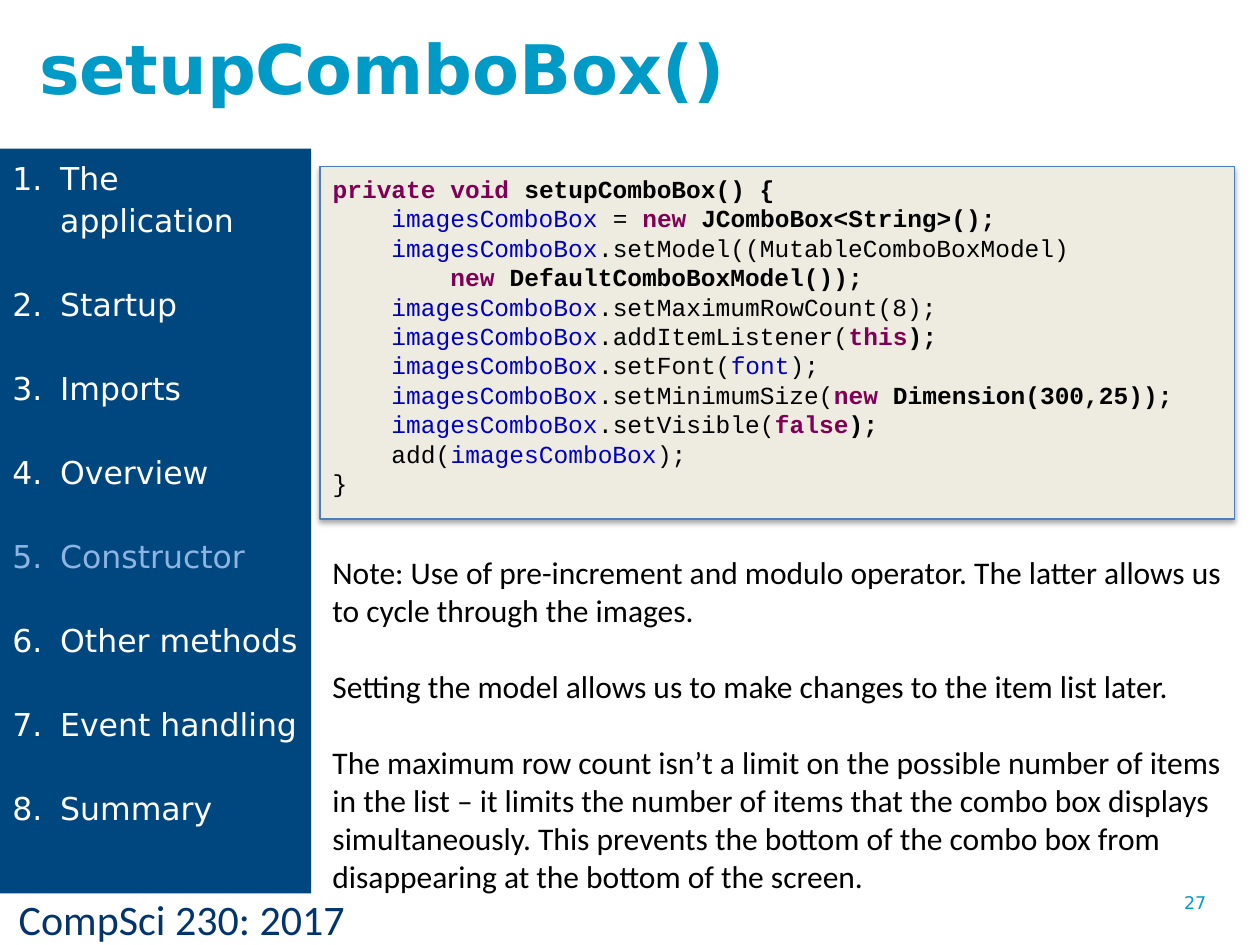
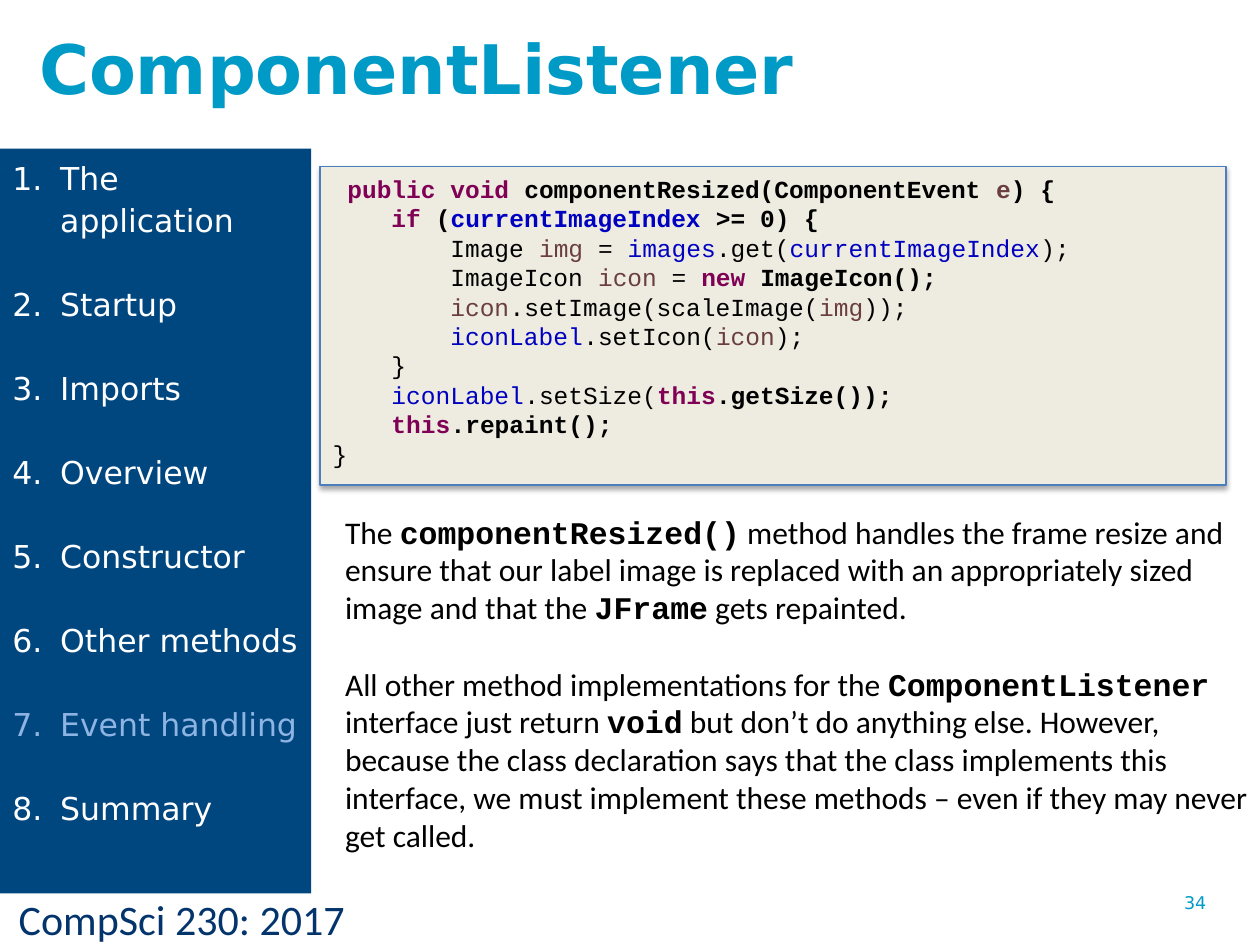
import pptx
import pptx.util
import pptx.dml.color
import pptx.enum.shapes
import pptx.enum.text
from lxml import etree
from pptx.oxml.ns import qn

Inches = pptx.util.Inches
Pt = pptx.util.Pt

COLORS = {
    "title": "009AC7", "footer": "04346C", "sidebar": "00467F",
    "white": "FFFFFF", "current": "8EB4E3", "panel": "EEECE1",
    "border": "4B7EBC", "black": "000000", "keyword": "7F0055",
    "field": "0000C0", "local": "6A3E3E",
}
BODY_FONT, CODE_FONT, HEADING_FONT = "Calibri", "Courier New", "DejaVu Sans"
CODE_STYLES = {
    "plain": ("black", False), "bold": ("black", True),
    "keyword": ("keyword", True), "field": ("field", False),
    "boldfield": ("field", True), "local": ("local", False),
    "boldlocal": ("local", True),
}
FOOTER = "CompSci 230: 2017"
SECTIONS = ["The application", "Startup", "Imports", "Overview", "Constructor",
            "Other methods", "Event handling", "Summary"]
COMBO = ("field", "    imagesComboBox")

SLIDES = [
    {
        "title": "setupComboBox()", "number": "27", "section": "Constructor",
        "panel": (2.54, 1.32, 7.26, 2.8), "code_box": (2.54, 1.33, 7.26, 2.7),
        "notes_box": (2.54, 4.34, 7.38, 2.83),
        "code": [
            [("keyword", "private void "), ("bold", "setupComboBox() {")],
            [COMBO, ("plain", " = "), ("keyword", "new "), ("bold", "JComboBox<String>();")],
            [COMBO, ("plain", ".setModel((MutableComboBoxModel)")],
            [("keyword", "        new "), ("bold", "DefaultComboBoxModel());")],
            [COMBO, ("plain", ".setMaximumRowCount(8);")],
            [COMBO, ("plain", ".addItemListener("), ("keyword", "this"), ("bold", ");")],
            [COMBO, ("plain", ".setFont("), ("field", "font"), ("plain", ");")],
            [COMBO, ("plain", ".setMinimumSize("), ("keyword", "new "),
             ("bold", "Dimension(300,25));")],
            [COMBO, ("plain", ".setVisible("), ("keyword", "false"), ("bold", ");")],
            [("plain", "    add("), ("field", "imagesComboBox"), ("plain", ");")],
            [("plain", "}")],
        ],
        "notes": [
            [("text", "Note: Use of pre-increment and modulo operator. The latter allows us "
                      "to cycle through the images.")],
            [("text", "Setting the model allows us to make changes to the item list later.")],
            [("text", "The maximum row count isn’t a limit on the possible number of items in "
                      "the list – it limits the number of items that the combo box displays "
                      "simultaneously. This prevents the bottom of the combo box from "
                      "disappearing at the bottom of the screen.")],
        ],
    },
    {
        "title": "ComponentListener", "number": "34", "section": "Event handling",
        "panel": (2.54, 1.32, 7.19, 2.53), "code_box": (2.54, 1.33, 7.56, 3.4),
        "notes_box": (2.64, 4.02, 7.38, 2.83),
        "code": [
            [("keyword", " public void "), ("bold", "componentResized(ComponentEvent "),
             ("boldlocal", "e"), ("bold", ") {")],
            [("keyword", "    if"), ("bold", " ("), ("boldfield", "currentImageIndex"),
             ("bold", " >= 0) {")],
            [("plain", "        Image "), ("local", "img"), ("plain", " = "),
             ("field", "images"), ("plain", ".get("), ("field", "currentImageIndex"),
             ("plain", ");")],
            [("plain", "        ImageIcon "), ("local", "icon"), ("plain", " = "),
             ("keyword", "new "), ("bold", "ImageIcon();")],
            [("local", "        icon"), ("plain", ".setImage(scaleImage("),
             ("local", "img"), ("plain", "));")],
            [("field", "        iconLabel"), ("plain", ".setIcon("), ("local", "icon"),
             ("plain", ");")],
            [("plain", "    }")],
            [("field", "    iconLabel"), ("plain", ".setSize("), ("keyword", "this"),
             ("bold", ".getSize());")],
            [("keyword", "    this"), ("bold", ".repaint();")],
            [("plain", "}")],
        ],
        "notes": [
            [("text", "The "), ("code", "componentResized()"),
             ("text", " method handles the frame resize and ensure that our label image is "
                      "replaced with an appropriately sized image and that the "),
             ("code", "JFrame"), ("text", " gets repainted.")],
            [("text", "All other method implementations for the "),
             ("code", "ComponentListener"), ("text", " interface just return "),
             ("code", "void"),
             ("text", " but don’t do anything else. However, because the class declaration "
                      "says that the class implements this interface, we must implement these "
                      "methods – even if they may never get called.")],
        ],
    },
]


def rgb(color):
    return pptx.dml.color.RGBColor.from_string(COLORS[color])


def place(shape, box):
    shape.left, shape.top, shape.width, shape.height = map(Inches, box)


def prepare_frame(shape, anchor=pptx.enum.text.MSO_ANCHOR.TOP):
    frame = shape.text_frame
    frame.word_wrap = True
    frame.auto_size = pptx.enum.text.MSO_AUTO_SIZE.NONE
    frame.vertical_anchor = anchor
    return frame


def next_paragraph(frame, index, gap=0, line_spacing=None):
    paragraph = frame.add_paragraph() if index else frame.paragraphs[0]
    paragraph.alignment = pptx.enum.text.PP_ALIGN.LEFT
    paragraph.space_before = Pt(gap if index else 0)
    if line_spacing:
        paragraph.line_spacing = Pt(line_spacing)
    return paragraph


def set_bullet(paragraph, tag, indent=0, **attributes):
    properties = paragraph._p.get_or_add_pPr()
    properties.set("marL", str(Inches(indent)))
    properties.set("indent", str(-Inches(indent)))
    etree.SubElement(properties, qn(tag), attributes)


def add_run(paragraph, text, size, font, color, bold=False):
    run = paragraph.add_run()
    run.text = text
    run.font.size = Pt(size)
    run.font.name = font
    run.font.bold = bold
    run.font.color.rgb = rgb(color)


def add_label(slide, box, text, size, font, color):
    label = slide.shapes.add_textbox(*map(Inches, box))
    add_run(next_paragraph(prepare_frame(label), 0), text, size, font, color)


def add_rectangle(slide, box, fill):
    rectangle = slide.shapes.add_shape(
        pptx.enum.shapes.MSO_SHAPE.RECTANGLE, *map(Inches, box))
    rectangle.fill.solid()
    rectangle.fill.fore_color.rgb = rgb(fill)
    rectangle.line.fill.background()
    rectangle.shadow.inherit = False
    return rectangle


def add_title(slide, text):
    title = slide.shapes.title
    place(title, (0.21, 0.14, 7.13, 0.78))
    frame = prepare_frame(title, pptx.enum.text.MSO_ANCHOR.MIDDLE)
    add_run(next_paragraph(frame, 0), text, 39, HEADING_FONT, "title", True)


def add_code_panel(slide, box):
    panel = add_rectangle(slide, box, "panel")
    panel.line.color.rgb = rgb("border")
    panel.line.width = Pt(0.75)
    effects = panel._element.spPr.find(qn("a:effectLst"))
    shadow = etree.SubElement(effects, qn("a:outerShdw"), {
        "blurRad": str(Pt(3.1)), "dist": str(Pt(1.8)), "dir": "5400000", "rotWithShape": "0"})
    shade = etree.SubElement(shadow, qn("a:srgbClr"), val=COLORS["black"])
    etree.SubElement(shade, qn("a:alpha"), val="35000")
    slide.shapes._spTree.insert(2, panel._element)


def add_code(slide, box, lines):
    body = slide.placeholders[1]
    place(body, box)
    frame = prepare_frame(body)
    for index, line in enumerate(lines):
        paragraph = next_paragraph(frame, index, line_spacing=16.8)
        set_bullet(paragraph, "a:buNone")
        for style, text in line:
            add_run(paragraph, text, 14, CODE_FONT, *CODE_STYLES[style])


def add_notes(slide, box, notes):
    frame = prepare_frame(slide.shapes.add_textbox(*map(Inches, box)))
    for index, note in enumerate(notes):
        paragraph = next_paragraph(frame, index, gap=22)
        for kind, text in note:
            is_code = kind == "code"
            font = CODE_FONT if is_code else BODY_FONT
            add_run(paragraph, text, 18, font, "black", is_code)


def add_sidebar(slide, current):
    frame = prepare_frame(add_rectangle(slide, (0, 1.18, 2.47, 5.91), "sidebar"))
    for index, section in enumerate(SECTIONS):
        paragraph = next_paragraph(frame, index, gap=24, line_spacing=24)
        set_bullet(paragraph, "a:buAutoNum", 0.38, type="arabicPeriod")
        color = "current" if section == current else "white"
        add_run(paragraph, section, 18, HEADING_FONT, color)


def main():
    presentation = pptx.Presentation()
    presentation.slide_width, presentation.slide_height = Inches(10), Inches(7.5)
    for content in SLIDES:
        slide = presentation.slides.add_slide(presentation.slide_layouts[1])
        add_title(slide, content["title"])
        add_code_panel(slide, content["panel"])
        add_code(slide, content["code_box"], content["code"])
        add_notes(slide, content["notes_box"], content["notes"])
        add_sidebar(slide, content["section"])
        add_label(slide, (0.05, 7.04, 4.05, 0.5), FOOTER, 24, BODY_FONT, "footer")
        add_label(slide, (9.3, 7.03, 0.7, 0.52), content["number"], 10, HEADING_FONT, "title")
    presentation.save("out.pptx")


if __name__ == "__main__":
    main()
